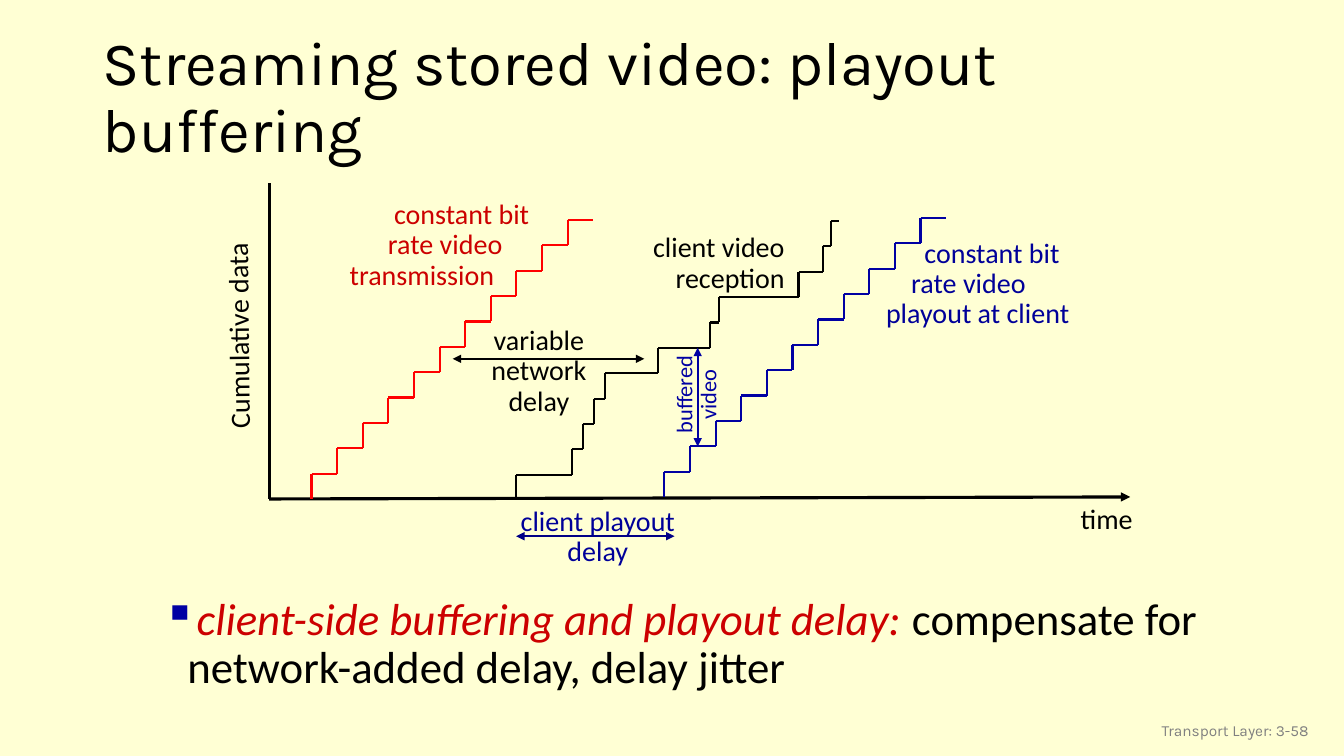
import itertools

import pptx
import pptx.dml.color
import pptx.enum.shapes
import pptx.enum.text
import pptx.oxml
import pptx.oxml.ns
import pptx.util
from pptx.util import Inches

ALIGN = pptx.enum.text.PP_ALIGN
ANCHOR = pptx.enum.text.MSO_ANCHOR
BLACK, RED, DARK_RED = "000000", "FF0000", "CC0000"
BLUE, LABEL_BLUE, DELAY_BLUE = "0000A3", "000099", "010086"
NAMESPACE = pptx.oxml.ns.nsdecls("a")


def rgb(value):
    return pptx.dml.color.RGBColor.from_string(value)


def style_font(font, size, color, name):
    font.size = pptx.util.Pt(size)
    font.name = name
    font.color.rgb = rgb(color)


def add_text(slide, box, lines, size, color, align=ALIGN.LEFT, name="Calibri",
             anchor=ANCHOR.TOP, rotation=0, indents=(), line_spacing=0.9):
    """Add one paragraph per line; indents are left margins in inches."""
    shape = slide.shapes.add_textbox(*map(Inches, box))
    shape.rotation = rotation
    frame = shape.text_frame
    frame.word_wrap = True
    frame.vertical_anchor = anchor
    frame.text = "\n".join(lines)
    for paragraph, indent in itertools.zip_longest(frame.paragraphs, indents, fillvalue=0):
        paragraph.alignment = align
        paragraph.line_spacing = line_spacing
        if indent:
            paragraph._p.get_or_add_pPr().set("marL", str(Inches(indent)))
        for run in paragraph.runs:
            style_font(run.font, size, color, name)
    return frame


def add_line(slide, start, end, color, width=1.5, arrows=()):
    """Draw a line; arrows lists the ends ("headEnd", "tailEnd") that carry one."""
    line = slide.shapes.add_connector(
        pptx.enum.shapes.MSO_CONNECTOR.STRAIGHT, *map(Inches, (*start, *end)))
    line.line.color.rgb = rgb(color)
    line.line.width = pptx.util.Pt(width)
    for arrow in arrows:
        line.line._get_or_add_ln().append(
            pptx.oxml.parse_xml(f'<a:{arrow} {NAMESPACE} type="triangle"/>'))
    line._element.spPr.append(pptx.oxml.parse_xml(f"<a:effectLst {NAMESPACE}/>"))


def add_staircase(slide, step_lefts, bottom, color, rise=0.2515):
    """Draw a riser and a tread for each step; the last left is the final tread's end."""
    for step, (left, right) in enumerate(itertools.pairwise(step_lefts)):
        low = bottom - step * rise
        high = low - rise
        add_line(slide, (left, low), (left, high), color)
        add_line(slide, (left, high), (right, high), color)


def even_steps(left, count=11, tread=0.254):
    return [left + step * tread for step in range(count + 1)]


def add_axes(slide, left, top, width, height):
    bottom = top + height
    add_line(slide, (left, top), (left, bottom), BLACK, 2.25)
    add_line(slide, (left, bottom), (left + width, bottom - 0.02), BLACK, 2.25, ["tailEnd"])
    add_text(slide, (left - 1.36, top + 1.26, 2.14, 0.4), ["Cumulative data"],
             20, BLACK, rotation=269.4)
    add_text(slide, (left + width - 0.59, bottom + 0.01, 0.8, 0.4), ["time"], 20, BLACK)


def add_chart_region(slide, left, top, width, height):
    """Draw the axes, the three data curves and their labels inside the box."""
    bottom = top + height
    both = ["headEnd", "tailEnd"]
    add_axes(slide, left, top, width, height)

    reception = [0, 0.55, 0.66, 0.77, 0.88, 1.41, 1.92, 2.01, 2.8, 3.04, 3.12, 3.2]
    add_staircase(slide, even_steps(left + 0.42), bottom, RED)
    add_staircase(slide, [left + 2.45 + offset for offset in reception], bottom + 0.01, BLACK)
    add_staircase(slide, even_steps(left + 3.92), bottom - 0.02, BLUE)

    add_text(slide, (left + 0.7, top + 0.12, 2.06, 1.01),
             ["constant bit", "rate video", "transmission"], 20, DARK_RED,
             indents=[0.44, 0.38])
    add_text(slide, (left + 3.69, top + 0.45, 1.52, 0.71),
             ["client video", "reception"], 20, BLACK, ALIGN.RIGHT)
    add_text(slide, (left + 5.96, top + 0.5, 2.1, 1.01),
             ["constant bit", "rate video", "playout at client"], 20, LABEL_BLUE,
             indents=[0.44, 0.31, 0.06])

    add_text(slide, (left + 2.1, top + 1.37, 1.15, 1.01),
             ["variable", "network", "delay"], 20, BLACK, ALIGN.CENTER)
    add_line(slide, (left + 1.82, top + 1.74), (left + 3.72, top + 1.74), BLACK, arrows=both)
    add_text(slide, (left + 2.34, bottom + 0.03, 1.84, 0.71),
             ["client playout", "delay"], 20, LABEL_BLUE, ALIGN.CENTER)
    add_line(slide, (left + 2.45, bottom + 0.37), (left + 4.02, bottom + 0.37),
             DELAY_BLUE, arrows=both)
    add_line(slide, (left + 4.25, top + 2.61), (left + 4.25, top + 1.63), BLUE, arrows=both)
    add_text(slide, (left + 3.71, top + 1.8, 1.08, 0.59),
             ["buffered", "video"], 16, BLUE, ALIGN.CENTER, rotation=270)


def add_takeaway(slide, box):
    term = "client-side buffering and playout delay: "
    frame = add_text(slide, box, [term], 32, DARK_RED)
    paragraph = frame.paragraphs[0]
    properties = paragraph._p.get_or_add_pPr()
    properties.set("marL", str(Inches(0.39)))
    properties.set("indent", str(Inches(-0.24)))
    for bullet in (f'<a:buClr {NAMESPACE}><a:srgbClr val="{BLUE}"/></a:buClr>',
                   f'<a:buChar {NAMESPACE} char="▪"/>'):
        properties.append(pptx.oxml.parse_xml(bullet))
    paragraph.runs[0].font.italic = True
    explanation = paragraph.add_run()
    explanation.text = "compensate for network-added delay, delay jitter"
    style_font(explanation.font, 32, BLACK, "Calibri")


def main():
    presentation = pptx.Presentation()
    presentation.slide_width = Inches(13.33)
    presentation.slide_height = Inches(7.5)
    slide = presentation.slides.add_slide(presentation.slide_layouts[6])
    slide.background.fill.solid()
    slide.background.fill.fore_color.rgb = rgb("FFFFD4")

    add_text(slide, (0.92, 0.49, 11.5, 0.98), ["Streaming stored video: playout buffering"],
             44, BLACK, name="Karla", anchor=ANCHOR.MIDDLE)
    add_chart_region(slide, 2.67, 1.82, 8.54, 3.13)
    add_takeaway(slide, (1.37, 5.87, 11.5, 0.97))
    add_text(slide, (10.08, 7.05, 3, 0.4), ["Transport Layer: 3-58"], 11, "808080",
             ALIGN.RIGHT, "Karla", ANCHOR.MIDDLE, line_spacing=1.0)
    presentation.save("out.pptx")


if __name__ == "__main__":
    main()
